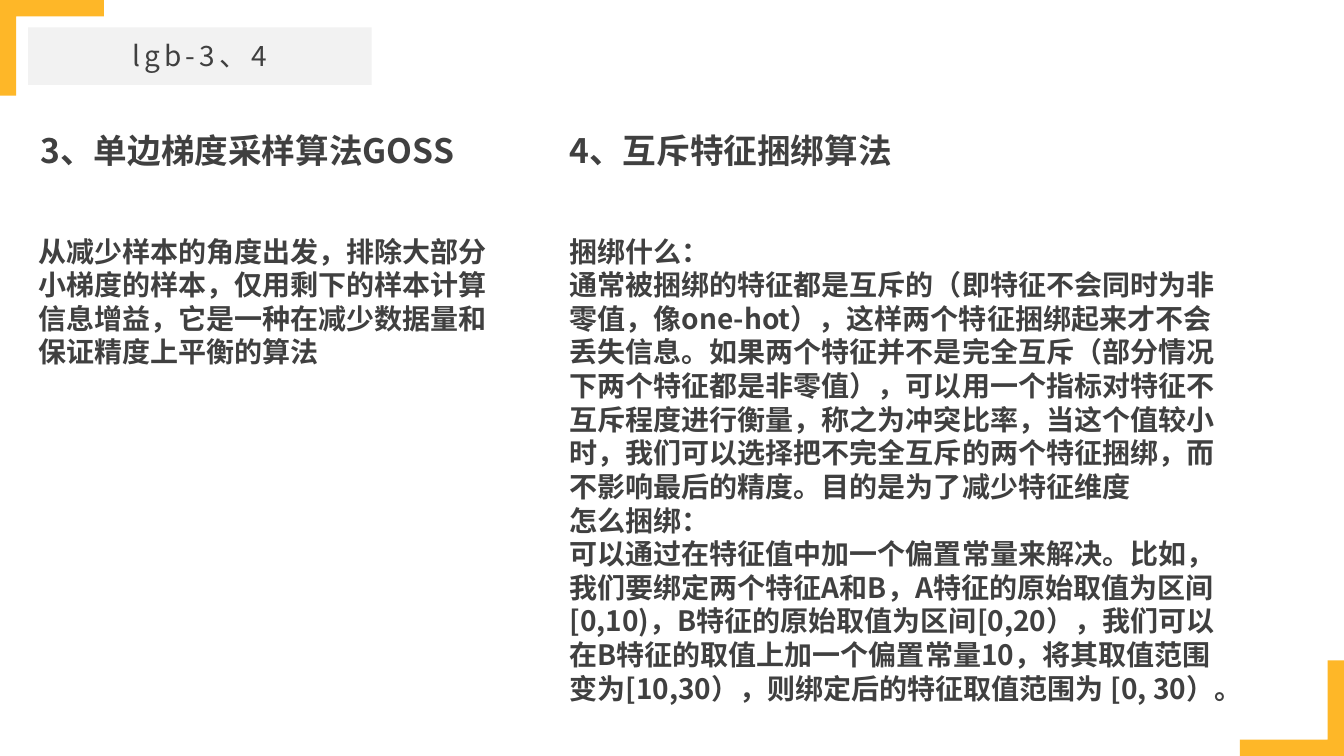
from pptx import Presentation
from pptx.dml.color import RGBColor
from pptx.enum.shapes import MSO_SHAPE
from pptx.enum.text import MSO_ANCHOR, MSO_AUTO_SIZE, PP_ALIGN
from pptx.oxml.ns import qn
from pptx.util import Cm, Pt
from lxml.etree import SubElement

COLORS = {"accent": "FEB728", "panel": "F2F2F2", "text": "404040"}
FONT = "Noto Sans CJK SC"
SLIDE_WIDTH, SLIDE_HEIGHT = 33.87, 19.05
CORNER_WIDTH, CORNER_HEIGHT = 2.62, 2.41


class SlideBuilder:
    """Holds the style and the current slide; lengths are in centimetres."""

    def __init__(self, slide):
        self.slide = slide

    def add_filled(self, kind, box, color):
        shape = self.slide.shapes.add_shape(kind, *map(Cm, box))
        shape.shadow.inherit = False
        shape.fill.solid()
        shape.fill.fore_color.rgb = RGBColor.from_string(COLORS[color])
        shape.line.fill.background()
        return shape

    def add_corner(self, left, top, rotation):
        box = (left, top, CORNER_WIDTH, CORNER_HEIGHT)
        shape = self.add_filled(MSO_SHAPE.CORNER, box, "accent")
        shape.adjustments[0], shape.adjustments[1] = 0.17, 0.17
        shape.rotation = rotation
        shape._element.spPr.find(qn("a:xfrm")).set("flipH", "1")

    def fill_placeholder(self, index, box, text, size, bold=True,
                         align=PP_ALIGN.LEFT, margins=(0.25, 0.13), spacing=0):
        shape = next(item for item in self.slide.placeholders
                     if item.placeholder_format.idx == index)
        shape.left, shape.top, shape.width, shape.height = map(Cm, box)
        frame = shape.text_frame
        frame.text = text
        frame.word_wrap = True
        frame.auto_size = MSO_AUTO_SIZE.NONE
        frame.vertical_anchor = MSO_ANCHOR.TOP
        frame.margin_left = frame.margin_right = Cm(margins[0])
        frame.margin_top = frame.margin_bottom = Cm(margins[1])
        for paragraph in frame.paragraphs:
            self.format_paragraph(paragraph, size, bold, align, spacing)

    def format_paragraph(self, paragraph, size, bold, align, spacing):
        paragraph.alignment = align
        paragraph.space_before = paragraph.space_after = Pt(0)
        # No bullet and no hanging indent
        properties = paragraph._p.get_or_add_pPr()
        properties.set("marL", "0")
        properties.set("indent", "0")
        SubElement(properties, qn("a:buNone"))
        for run in paragraph.runs:
            run.font.name = FONT
            run.font.size = Pt(size)
            run.font.bold = bold
            run.font.color.rgb = RGBColor.from_string(COLORS["text"])
            run_properties = run._r.get_or_add_rPr()
            SubElement(run_properties, qn("a:ea")).set("typeface", FONT)
            if spacing:
                run_properties.set("spc", str(spacing * 100))


GOSS_TEXT = "从减少样本的角度出发，排除大部分小梯度的样本，仅用剩下的样本计算信息增益，它是一种在减少数据量和保证精度上平衡的算法"

BUNDLING_TEXT = "\n".join([
    "捆绑什么：",
    "通常被捆绑的特征都是互斥的（即特征不会同时为非零值，像one-hot），"
    "这样两个特征捆绑起来才不会丢失信息。如果两个特征并不是完全互斥"
    "（部分情况下两个特征都是非零值），可以用一个指标对特征不互斥程度进行衡量，"
    "称之为冲突比率，当这个值较小时，我们可以选择把不完全互斥的两个特征捆绑，"
    "而不影响最后的精度。目的是为了减少特征维度",
    "怎么捆绑：",
    "可以通过在特征值中加一个偏置常量来解决。比如，我们要绑定两个特征A和B，"
    "A特征的原始取值为区间[0,10)，B特征的原始取值为区间[0,20），"
    "我们可以在B特征的取值上加一个偏置常量10，将其取值范围变为[10,30），"
    "则绑定后的特征取值范围为 [0, 30）。",
])


def main():
    presentation = Presentation()
    presentation.slide_width = Cm(SLIDE_WIDTH)
    presentation.slide_height = Cm(SLIDE_HEIGHT)
    comparison_layout = presentation.slide_layouts[4]
    slide = presentation.slides.add_slide(comparison_layout)
    builder = SlideBuilder(slide)

    # Corner brackets
    builder.add_corner(SLIDE_WIDTH - CORNER_WIDTH, SLIDE_HEIGHT - CORNER_HEIGHT, 0)
    builder.add_corner(0, 0, 180)

    # Title on its grey panel
    panel = builder.add_filled(MSO_SHAPE.RECTANGLE, (0.71, 0.69, 8.66, 1.45), "panel")
    builder.fill_placeholder(0, (1.9, 0.97, 6.27, 0.86), "lgb-3、4", 20, bold=False,
                             align=PP_ALIGN.CENTER, margins=(0, 0), spacing=3)
    slide.shapes.title._element.addprevious(panel._element)

    # Left column: GOSS
    builder.fill_placeholder(1, (0.58, 3.15, 11.66, 1.27), " 3、单边梯度采样算法GOSS", 24)
    builder.fill_placeholder(2, (0.71, 5.77, 12.27, 4.09), GOSS_TEXT, 20)

    # Right column: exclusive feature bundling
    builder.fill_placeholder(3, (14.1, 3.15, 16.94, 1.27), "4、互斥特征捆绑算法", 24)
    builder.fill_placeholder(4, (14.1, 5.77, 16.94, 12.22), BUNDLING_TEXT, 20)

    presentation.save("out.pptx")


if __name__ == "__main__":
    main()
